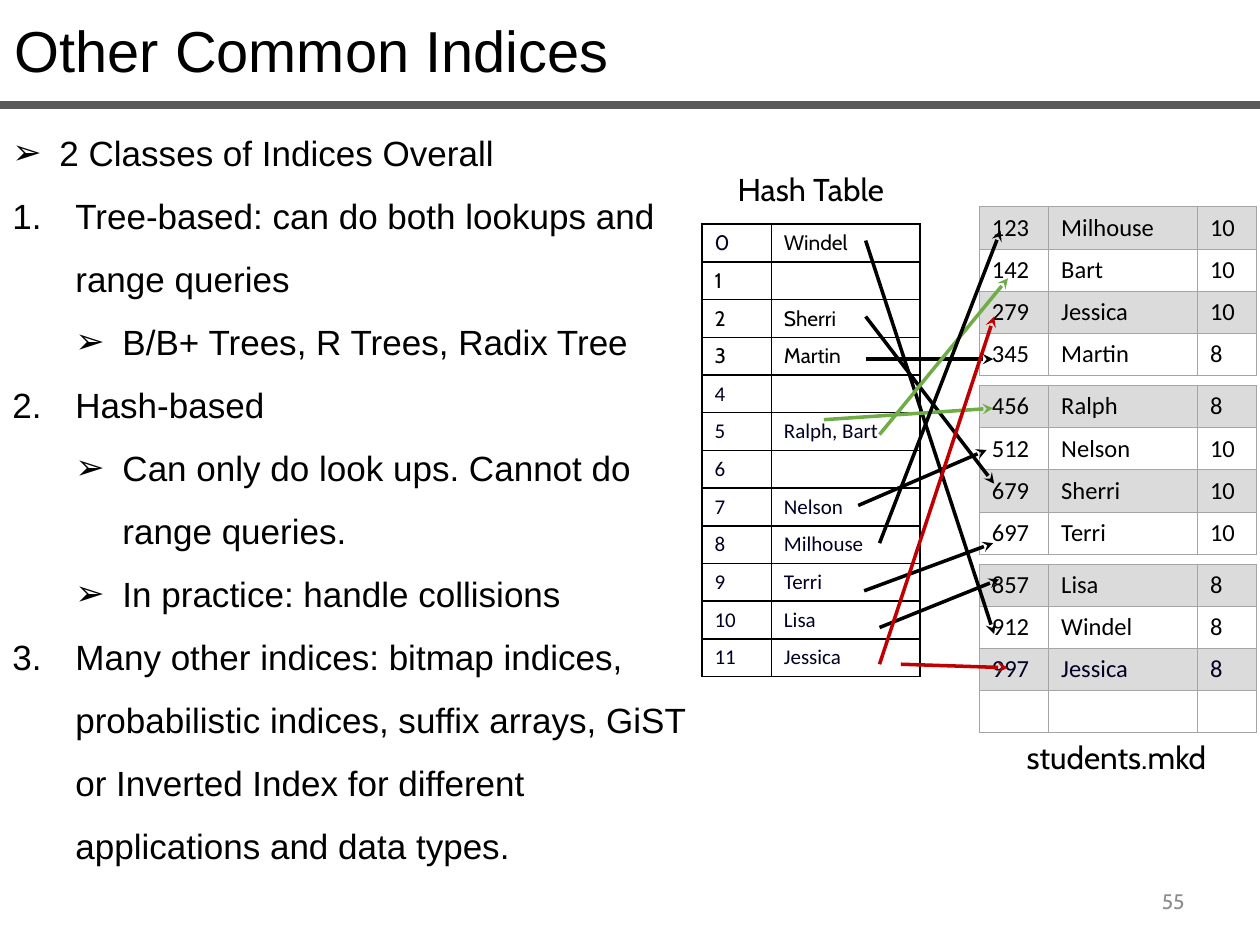
"""Build a slide on common index types with a hash table pointing into a student file."""
import pptx
import pptx.util
import pptx.dml.color
import pptx.enum.shapes
import pptx.enum.text
import pptx.oxml.ns
import lxml.etree

Cm, Pt = pptx.util.Cm, pptx.util.Pt
RGBColor = pptx.dml.color.RGBColor
ALIGN, ANCHOR = pptx.enum.text.PP_ALIGN, pptx.enum.text.MSO_ANCHOR
qn = pptx.oxml.ns.qn

BLACK = RGBColor(0x00, 0x00, 0x00)
NAVY = RGBColor(0x00, 0x00, 0x22)
DARK = RGBColor(0x59, 0x59, 0x59)
MUTED = RGBColor(0x8C, 0x8C, 0x8C)
BORDER = RGBColor(0xA5, 0xA5, 0xA5)
BAND = RGBColor(0xDB, 0xDB, 0xDB)
GREEN = RGBColor(0x70, 0xAD, 0x47)
RED = RGBColor(0xC0, 0x00, 0x00)


def write(tf, text, size, font, color, align=ALIGN.LEFT, new=False):
    p = tf.add_paragraph() if new else tf.paragraphs[0]
    p.alignment = align
    if text:
        r = p.add_run()
        r.text = text
        r.font.size, r.font.name = Pt(size), font
        r.font.color.rgb = color
    else:
        p._p.get_or_add_endParaRPr().set("sz", str(size * 100))
    return p


def add_grid(s, left, top, widths, height, rows, border, weight):
    frame = s.shapes.add_table(len(rows), len(widths), Cm(left), Cm(top),
                               Cm(sum(widths)), Cm(height * len(rows)))
    table = frame.table
    table.first_row = table.horz_banding = False
    for column, width in zip(table.columns, widths):
        column.width = Cm(width)
    for i, (texts, size, fonts, colors, fill) in enumerate(rows):
        table.rows[i].height = Cm(height)
        for j, text in enumerate(texts):
            cell = table.cell(i, j)
            cell.margin_top = cell.margin_bottom = Cm(0.05)
            cell.vertical_anchor = ANCHOR.MIDDLE
            write(cell.text_frame, text, size, fonts, colors[j])
            tcPr = cell._tc.get_or_add_tcPr()
            for side in ("a:lnL", "a:lnR", "a:lnT", "a:lnB"):
                ln = lxml.etree.SubElement(tcPr, qn(side), w=str(Pt(weight)))
                solid = lxml.etree.SubElement(ln, qn("a:solidFill"))
                lxml.etree.SubElement(solid, qn("a:srgbClr"), val=str(border))
            if fill is None:
                cell.fill.background()
            else:
                cell.fill.solid()
                cell.fill.fore_color.rgb = fill


prs = pptx.Presentation()
prs.slide_width, prs.slide_height = Cm(25.4), Cm(19.05)
s = prs.slides.add_slide(prs.slide_layouts[6])

labels = [
    ("Other Common Indices", 0.05, 0.18, 25.4, 1.68, 33, "Arial", BLACK, ALIGN.LEFT),
    ("55", 18.21, 17.65, 5.92, 1.02, 12, "Cabin", MUTED, ALIGN.RIGHT),
    ("Hash Table", 14.15, 3.3, 4.39, 1.02, 18, "Cabin", BLACK, ALIGN.CENTER),
    ("students.mkd", 20.32, 14.76, 4.37, 1.02, 18, "Cabin", BLACK, ALIGN.CENTER),
]
for text, left, top, width, height, size, font, color, align in labels:
    sp = s.shapes.add_textbox(Cm(left), Cm(top), Cm(width), Cm(height))
    tf = sp.text_frame
    tf.word_wrap = True
    tf.vertical_anchor = ANCHOR.MIDDLE if text == "55" else ANCHOR.TOP
    write(tf, text, size, font, color, align)

styles = {
    "class": (0, 0.95, 0.95, "➢"),
    "number": (0, 1.27, 1.27, None),
    "detail": (1, 2.22, 0.95, "➢"),
}
points = [
    ("class", "2 Classes of Indices Overall"),
    ("number", "Tree-based: can do both lookups and range queries"),
    ("detail", "B/B+ Trees, R Trees, Radix Tree"),
    ("number", "Hash-based"),
    ("detail", "Can only do look ups. Cannot do range queries."),
    ("detail", "In practice: handle collisions"),
    ("number", "Many other indices: bitmap indices, probabilistic indices, suffix arrays, "
               "GiST or Inverted Index for different applications and data types."),
]
sp = s.shapes.add_textbox(Cm(0), Cm(2.11), Cm(14.55), Cm(15.49))
tf = sp.text_frame
tf.word_wrap = True
for i, (style, text) in enumerate(points):
    level, margin, hanging, bullet = styles[style]
    p = write(tf, text, 20, "Arial", BLACK, new=i > 0)
    p.level = level
    pPr = p._p.get_or_add_pPr()
    pPr.set("marL", str(Cm(margin)))
    pPr.set("indent", str(-Cm(hanging)))
    if bullet:
        lxml.etree.SubElement(pPr, qn("a:buFont"), typeface="Arial")
        lxml.etree.SubElement(pPr, qn("a:buChar"), char=bullet)
    else:
        lxml.etree.SubElement(pPr, qn("a:buFont"), typeface="+mj-lt")
        lxml.etree.SubElement(pPr, qn("a:buAutoNum"), type="arabicPeriod")
    p.line_spacing = 1.5

pages = [
    [("123", "Milhouse", "10"), ("142", "Bart", "10"), ("279", "Jessica", "10"), ("345", "Martin", "8")],
    [("456", "Ralph", "8"), ("512", "Nelson", "10"), ("679", "Sherri", "10"), ("697", "Terri", "10")],
    [("857", "Lisa", "8"), ("912", "Windel", "8"), ("997", "Jessica", "8"), ("", "", "")],
]
for n, page in enumerate(pages):
    rows = []
    for i, texts in enumerate(page):
        color = NAVY if texts[0] == "997" else BLACK
        rows.append((texts, 14, "Calibri", [color] * 3, BAND if i % 2 == 0 else None))
    add_grid(s, 19.74, 4.17 + 3.6 * n, [1.4, 3, 1.19], 0.85, rows, BORDER, 0.5)

buckets = ["Windel", "", "Sherri", "Martin", "", "Ralph, Bart", "", "Nelson",
           "Milhouse", "Terri", "Lisa", "Jessica"]
rows = []
for i, name in enumerate(buckets):
    font = "Cabin" if i < 4 else "Calibri"
    colors = [BLACK if 0 < i < 4 else NAVY, BLACK if i < 4 else NAVY]
    rows.append(((str(i), name), 12, font, colors, None))
add_grid(s, 14.15, 4.52, [1.4, 3], 0.76, rows, BLACK, 1)

lines = [
    (0, 2.11, 25.4, 2.11, DARK, 4.5),
    (17.45, 4.85, 20.04, 12.78, BLACK, 2),
    (17.45, 6.38, 20.04, 9.75, BLACK, 2),
    (17.45, 7.24, 20.02, 7.24, BLACK, 2),
    (16.61, 8.46, 20.02, 8.23, GREEN, 2),
    (17.73, 8.76, 20.32, 5.61, GREEN, 2),
    (17.3, 10.19, 19.89, 9.07, BLACK, 2),
    (17.73, 10.95, 20.17, 4.65, BLACK, 2),
    (17.42, 11.91, 20.02, 10.95, BLACK, 2),
    (17.73, 12.65, 20.14, 11.68, BLACK, 2),
    (17.73, 13.39, 20.04, 6.38, RED, 2),
    (18.16, 13.39, 20.32, 13.46, RED, 2),
]
for x1, y1, x2, y2, color, weight in lines:
    sp = s.shapes.add_connector(pptx.enum.shapes.MSO_CONNECTOR.STRAIGHT,
                                Cm(x1), Cm(y1), Cm(x2), Cm(y2))
    sp.line.color.rgb = color
    sp.line.width = Pt(weight)
    if color != DARK:
        lxml.etree.SubElement(sp.line._get_or_add_ln(), qn("a:tailEnd"), type="stealth")
    lxml.etree.SubElement(sp._element.spPr, qn("a:effectLst"))

prs.save("out.pptx")
